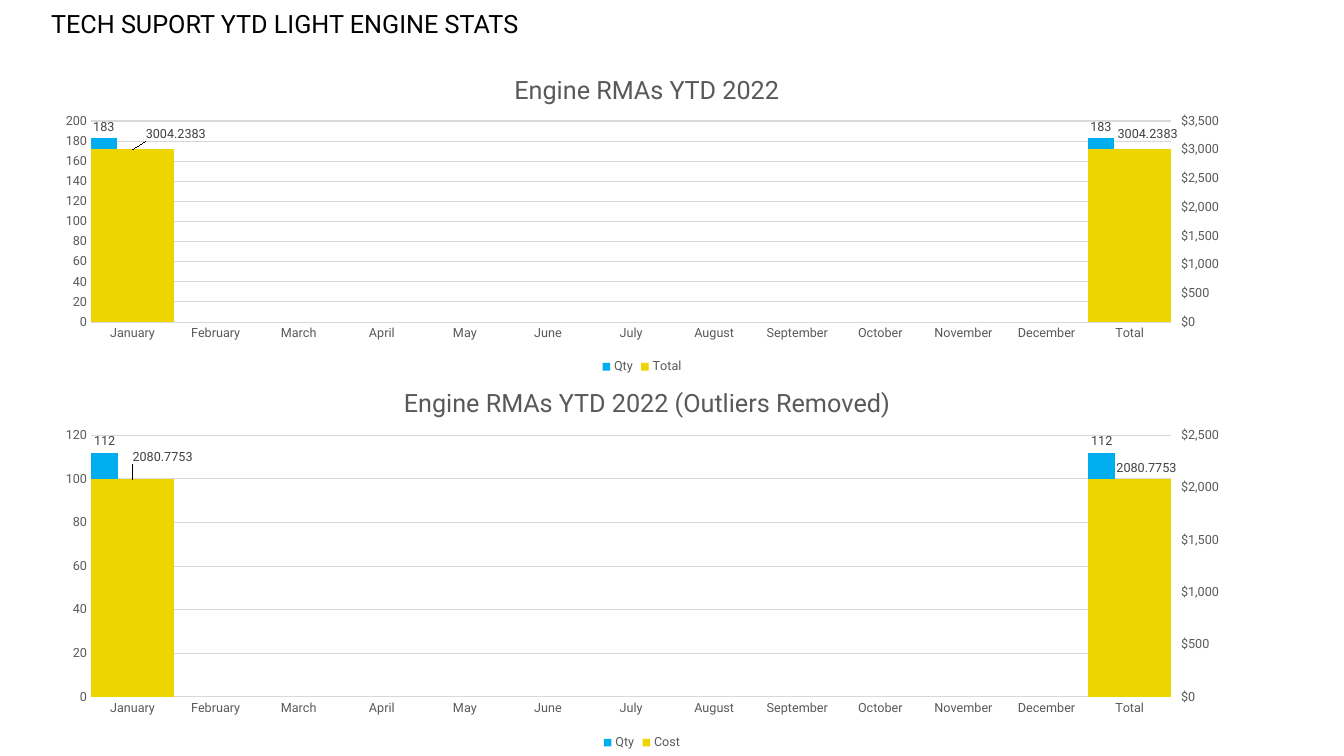
from copy import deepcopy
from dataclasses import dataclass

from lxml.etree import Element, SubElement
from pptx import Presentation
from pptx.chart.axis import ValueAxis
from pptx.chart.data import CategoryChartData
from pptx.dml.color import RGBColor
from pptx.enum.chart import XL_CHART_TYPE, XL_LABEL_POSITION, XL_LEGEND_POSITION, XL_TICK_MARK
from pptx.enum.text import MSO_AUTO_SIZE
from pptx.oxml.ns import qn
from pptx.util import Cm, Pt


@dataclass(frozen=True)
class Theme:
    face: str = "Roboto"
    ink: str = "000000"
    gray: str = "595959"
    dark: str = "404040"
    rule: str = "D9D9D9"
    blue: str = "00AEEF"
    pink: str = "EA428A"
    gold: str = "EED500"
    head: float = 18
    base: float = 10
    small: float = 9
    line: float = 0.75


THEME = Theme()
MONTHS = ["January", "February", "March", "April", "May", "June", "July", "August",
          "September", "October", "November", "December", "Total"]
LAST = len(MONTHS) - 1


@dataclass(frozen=True)
class Panel:
    title: str
    cost_name: str
    qty: int
    cost: float
    qty_top: int
    cost_top: int
    overlap: int
    title_at: tuple
    plot_at: tuple
    shifts: dict


PANELS = [
    (Panel("Engine RMAs YTD 2022", "Total", 183, 3004.2383, 200, 3500, -12,
           (0.39, 0.057), (0.0414, 0.2155, 0.899, 0.6136),
           {0: (0.036, -0.013), LAST: (0.015, -0.011)}),
     (Cm(1.04), Cm(1.27), Cm(30.28), Cm(8.26))),
    (Panel("Engine RMAs YTD 2022 (Outliers Removed)", "Cost", 112, 2080.7753, 120, 2500, -2,
           (0.298, 0.049), (0.0414, 0.1856, 0.899, 0.6686),
           {0: (0.025, -0.028), LAST: (0.014, 0)}),
     (Cm(1.04), Cm(9.14), Cm(30.28), Cm(9.86))),
]


def style(font, size=THEME.small, color=THEME.gray):
    font.name, font.size, font.bold = THEME.face, Pt(size), False
    font.color.rgb = RGBColor.from_string(color)


def write(frame, text, **look):
    run = frame.paragraphs[0].add_run()
    run.text = text
    style(run.font, **look)


def stroke(line):
    line.color.rgb = RGBColor.from_string(THEME.rule)
    line.width = Pt(THEME.line)


def arrange(owner, index, spots, edge=True, inner=False):
    """Give a chart part a manual layout, in fractions of the chart."""
    for old in owner.findall(qn("c:layout")):
        owner.remove(old)
    layout = Element(qn("c:layout"))
    manual = SubElement(layout, qn("c:manualLayout"))
    if inner:
        SubElement(manual, qn("c:layoutTarget"), val="inner")
    if edge:
        for mode in ("xMode", "yMode"):
            SubElement(manual, qn(f"c:{mode}"), val="edge")
    for name, value in zip("xywh", spots):
        SubElement(manual, qn(f"c:{name}"), val=str(value))
    owner.insert(index, layout)


def scale(axis, top, step, form, tick):
    axis.minimum_scale, axis.maximum_scale, axis.major_unit = 0, top, step
    axis.major_tick_mark, axis.minor_tick_mark = tick, XL_TICK_MARK.NONE
    axis.format.line.fill.background()
    axis.tick_labels.number_format = form
    axis.tick_labels.number_format_is_linked = False
    style(axis.tick_labels.font)


def split(chart):
    """Move the last series to a right-hand axis and return that axis."""
    bars = chart.plots[0]._element
    extra = deepcopy(bars)
    for ser in extra.findall(qn("c:ser"))[:-1]:
        extra.remove(ser)
    bars.remove(bars.findall(qn("c:ser"))[-1])
    bars.addnext(extra)

    left = chart.value_axis._element
    cat, val = deepcopy(chart.category_axis._element), deepcopy(left)
    ids = ("5001", "5002")
    for ref, name in zip(extra.findall(qn("c:axId")), ids):
        ref.set("val", name)
    for axis, own, other in ((cat, *ids), (val, *reversed(ids))):
        axis.find(qn("c:axId")).set("val", own)
        axis.find(qn("c:crossAx")).set("val", other)
    cat.find(qn("c:delete")).set("val", "1")
    val.find(qn("c:axPos")).set("val", "r")
    val.find(qn("c:crosses")).set("val", "max")
    left.addnext(val)
    val.addnext(cat)
    right = ValueAxis(val)
    right.has_major_gridlines = False
    return right


def label(series):
    labels = series.data_labels
    labels.show_value = True
    labels.position = XL_LABEL_POSITION.OUTSIDE_END
    style(labels.font, color=THEME.dark)


def shift(series, moves):
    for index, move in moves.items():
        mark = series.points[index].data_label
        style(mark.font, color=THEME.dark)
        mark.position = XL_LABEL_POSITION.OUTSIDE_END
    for node in series._element.iter(qn("c:dLbl")):
        arrange(node, 1, moves[int(node.find(qn("c:idx")).get("val"))], edge=False)


def add_panel(slide, panel, box):
    blank = [None] * LAST
    data = CategoryChartData()
    data.categories = MONTHS
    data.add_series("Qty", [panel.qty, *blank[1:], panel.qty])
    for name in ("Series 2", "Series 3"):
        data.add_series(name, [*blank, None])
    data.add_series(panel.cost_name, [panel.cost, *blank[1:], panel.cost])
    chart = slide.shapes.add_chart(XL_CHART_TYPE.COLUMN_CLUSTERED, *box, data).chart
    style(chart.font, size=THEME.base, color=THEME.ink)

    chart.has_title = True
    title = chart.chart_title
    write(title.text_frame, panel.title, size=THEME.head)
    title.include_in_layout = False
    arrange(title._element, 1, panel.title_at)

    chart.has_legend = True
    legend = chart.legend
    legend.position, legend.include_in_layout = XL_LEGEND_POSITION.BOTTOM, False
    style(legend.font)
    for index in (2, 1):
        entry = Element(qn("c:legendEntry"))
        SubElement(entry, qn("c:idx"), val=str(index))
        SubElement(entry, qn("c:delete"), val="1")
        legend._element.insert(1, entry)

    plot = chart.plots[0]
    plot.gap_width, plot.overlap, plot.vary_by_categories = 0, panel.overlap, False
    for series, color in zip(plot.series, (THEME.blue, THEME.pink, THEME.gold, THEME.gold)):
        series.format.fill.solid()
        series.format.fill.fore_color.rgb = RGBColor.from_string(color)
    qty, cost = plot.series[0], plot.series[3]
    label(qty)
    label(cost)
    shift(cost, panel.shifts)

    months = chart.category_axis
    months.major_tick_mark = months.minor_tick_mark = XL_TICK_MARK.NONE
    stroke(months.format.line)
    style(months.tick_labels.font)
    left = chart.value_axis
    left.has_major_gridlines = True
    stroke(left.major_gridlines.format.line)
    scale(left, panel.qty_top, 20, "General", XL_TICK_MARK.NONE)
    scale(split(chart), panel.cost_top, 500, '"$"#,##0', XL_TICK_MARK.OUTSIDE)
    arrange(plot._element.getparent(), 0, panel.plot_at, inner=True)


def add_head(slide, text, box):
    frame = slide.shapes.add_textbox(*box).text_frame
    frame.word_wrap = True
    frame.auto_size = MSO_AUTO_SIZE.SHAPE_TO_FIT_TEXT
    write(frame, text, size=THEME.head, color=THEME.ink)


def main():
    deck = Presentation()
    deck.slide_width, deck.slide_height = Cm(33.87), Cm(19.05)
    slide = deck.slides.add_slide(deck.slide_layouts[6])
    add_head(slide, "TECH SUPORT YTD LIGHT ENGINE STATS", (Cm(1.04), Cm(0.08), Cm(14.6), Cm(1.02)))
    for panel, box in PANELS:
        add_panel(slide, panel, box)
    deck.save("out.pptx")


if __name__ == "__main__":
    main()
